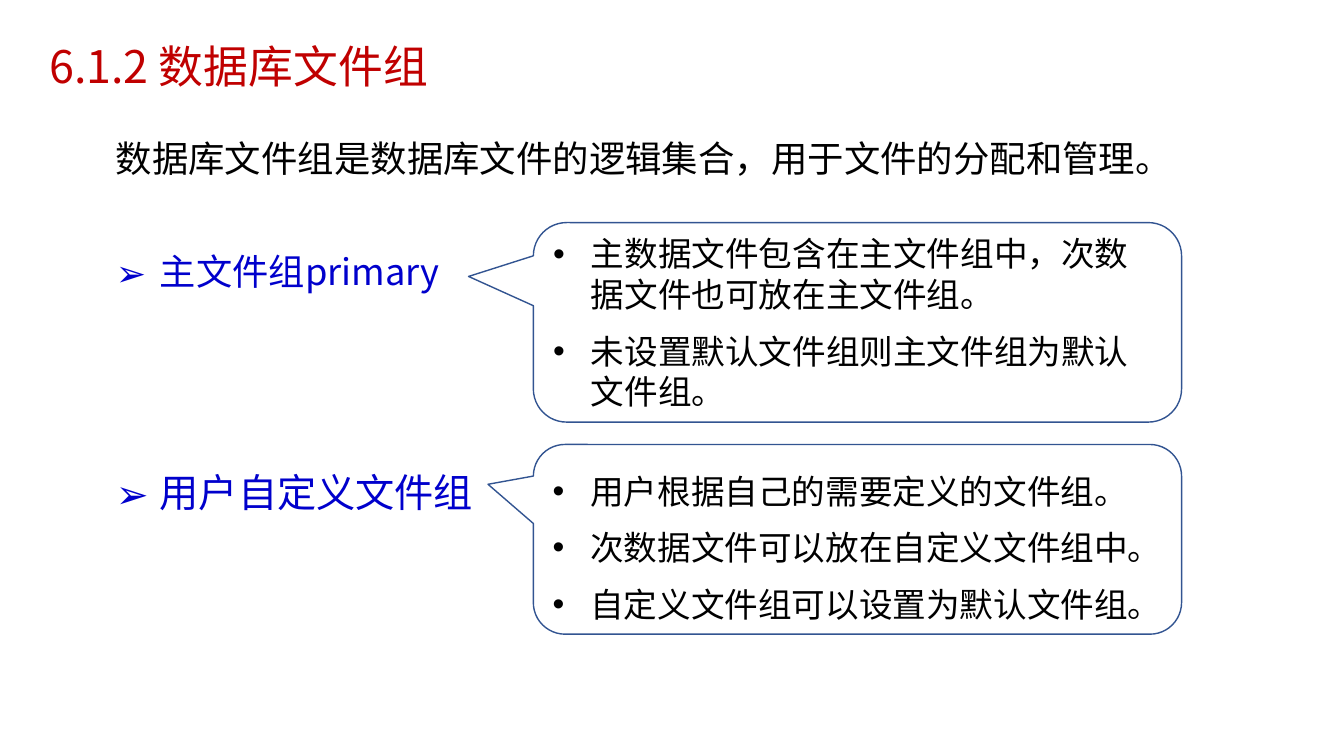
from dataclasses import dataclass

from lxml.etree import SubElement
from pptx import Presentation
from pptx.dml.color import RGBColor
from pptx.enum.shapes import MSO_SHAPE
from pptx.enum.text import MSO_ANCHOR, PP_ALIGN
from pptx.oxml.ns import qn
from pptx.util import Pt


@dataclass(frozen=True)
class Theme:
    font: str = "Noto Sans CJK SC"
    title_color: RGBColor = RGBColor(0xC0, 0x00, 0x00)
    text_color: RGBColor = RGBColor(0x00, 0x00, 0x00)
    group_color: RGBColor = RGBColor(0x00, 0x00, 0xCC)
    callout_fill: RGBColor = RGBColor(0xFF, 0xFF, 0xFF)
    callout_line: RGBColor = RGBColor(0x32, 0x54, 0x91)
    title_size: float = 32
    intro_size: float = 26
    primary_size: float = 25.9
    custom_size: float = 28
    detail_size: float = 24


class SlideBuilder:
    def __init__(self, deck, theme):
        self.theme = theme
        self.page = deck.slides.add_slide(deck.slide_layouts[5])

    def fill_para(self, para, text, size, color, spacing=1.0, before=0):
        para.alignment = PP_ALIGN.LEFT
        para.line_spacing = spacing
        para.space_before = Pt(before)
        span = para.add_run()
        span.text = text
        span.font.size = Pt(size)
        span.font.color.rgb = color
        span.font.name = self.theme.font
        east_asian = SubElement(span.font._element, qn("a:ea"))
        east_asian.set("typeface", self.theme.font)

    def bullet(self, para, mark, font, indent, hanging):
        props = para._p.get_or_add_pPr()
        props.set("marL", str(Pt(indent)))
        props.set("indent", str(-Pt(hanging)))
        SubElement(props, qn("a:buFont")).set("typeface", font)
        SubElement(props, qn("a:buChar")).set("char", mark)

    def title(self, text, left, top, width, height):
        box = self.page.shapes.title
        box.left, box.top, box.width, box.height = map(Pt, (left, top, width, height))
        box.text_frame.word_wrap = True
        box.text_frame.vertical_anchor = MSO_ANCHOR.MIDDLE
        self.fill_para(box.text_frame.paragraphs[0], text, self.theme.title_size,
                       self.theme.title_color, 0.9)

    def text(self, text, left, top, width, height, size, color, spacing):
        box = self.page.shapes.add_textbox(*map(Pt, (left, top, width, height)))
        box.text_frame.word_wrap = True
        para = box.text_frame.paragraphs[0]
        self.fill_para(para, text, size, color, spacing)
        return para

    def group_name(self, *args):
        para = self.text(*args)
        self.bullet(para, "➢", self.theme.font, 31.5, 36)

    def callout(self, details, top, height, pointer, spacing, gaps):
        """Add a balloon of bulleted details; gaps are the spaces before them."""
        box = self.page.shapes.add_shape(
            MSO_SHAPE.ROUNDED_RECTANGULAR_CALLOUT,
            Pt(381), Pt(top), Pt(463), Pt(height))
        box.shadow.inherit = False
        box.adjustments[0], box.adjustments[1] = pointer
        box.fill.solid()
        box.fill.fore_color.rgb = self.theme.callout_fill
        box.line.color.rgb = self.theme.callout_line
        box.line.width = Pt(1)
        frame = box.text_frame
        frame.word_wrap = True
        frame.vertical_anchor = MSO_ANCHOR.MIDDLE
        for index, (detail, gap) in enumerate(zip(details, gaps)):
            para = frame.add_paragraph() if index else frame.paragraphs[0]
            self.fill_para(para, detail, self.theme.detail_size,
                           self.theme.text_color, spacing, gap)
            self.bullet(para, "•", "Arial", 27, 27)


def main():
    deck = Presentation()
    deck.slide_width, deck.slide_height = Pt(960), Pt(540)
    theme = Theme()
    slide = SlideBuilder(deck, theme)

    slide.title("6.1.2 数据库文件组", 28, 28, 828, 42.5)
    slide.text("数据库文件组是数据库文件的逻辑集合，用于文件的分配和管理。",
               75.6, 78, 788, 57, theme.intro_size, theme.text_color, 1.5)
    slide.group_name("主文件组primary", 75.6, 159, 262, 57,
                     theme.primary_size, theme.group_color, 1.5)
    slide.group_name("用户自定义文件组", 75.6, 310.5, 275, 68,
                     theme.custom_size, theme.group_color, 1.6)
    slide.callout(["主数据文件包含在主文件组中，次数据文件也可放在主文件组。",
                   "未设置默认文件组则主文件组为默认文件组。"],
                  159, 142.5, (-0.6, -0.23), 1.0, (6, 12))
    slide.callout(["用户根据自己的需要定义的文件组。",
                   "次数据文件可以放在自定义文件组中。",
                   "自定义文件组可以设置为默认文件组。"],
                  317.5, 135.5, (-0.57, -0.29), 1.4, (0, 0, 0))
    deck.save("out.pptx")


if __name__ == "__main__":
    main()
